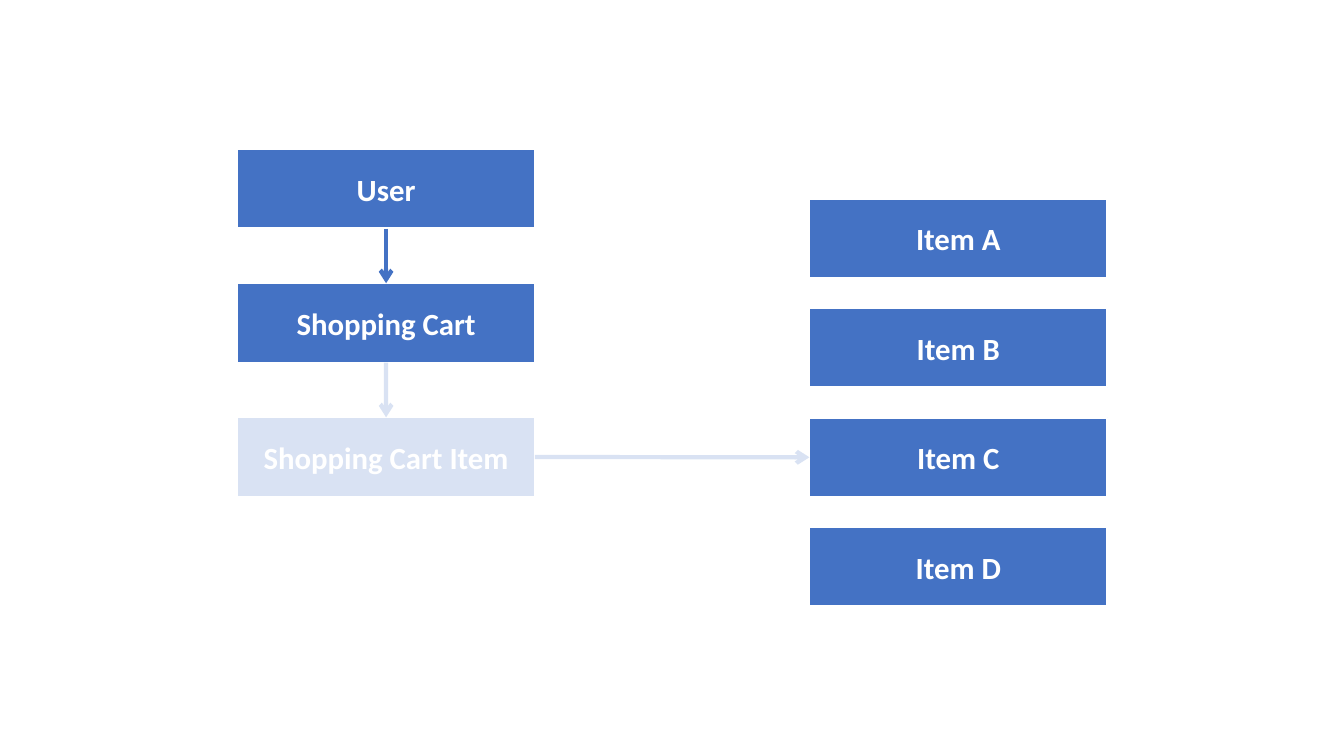
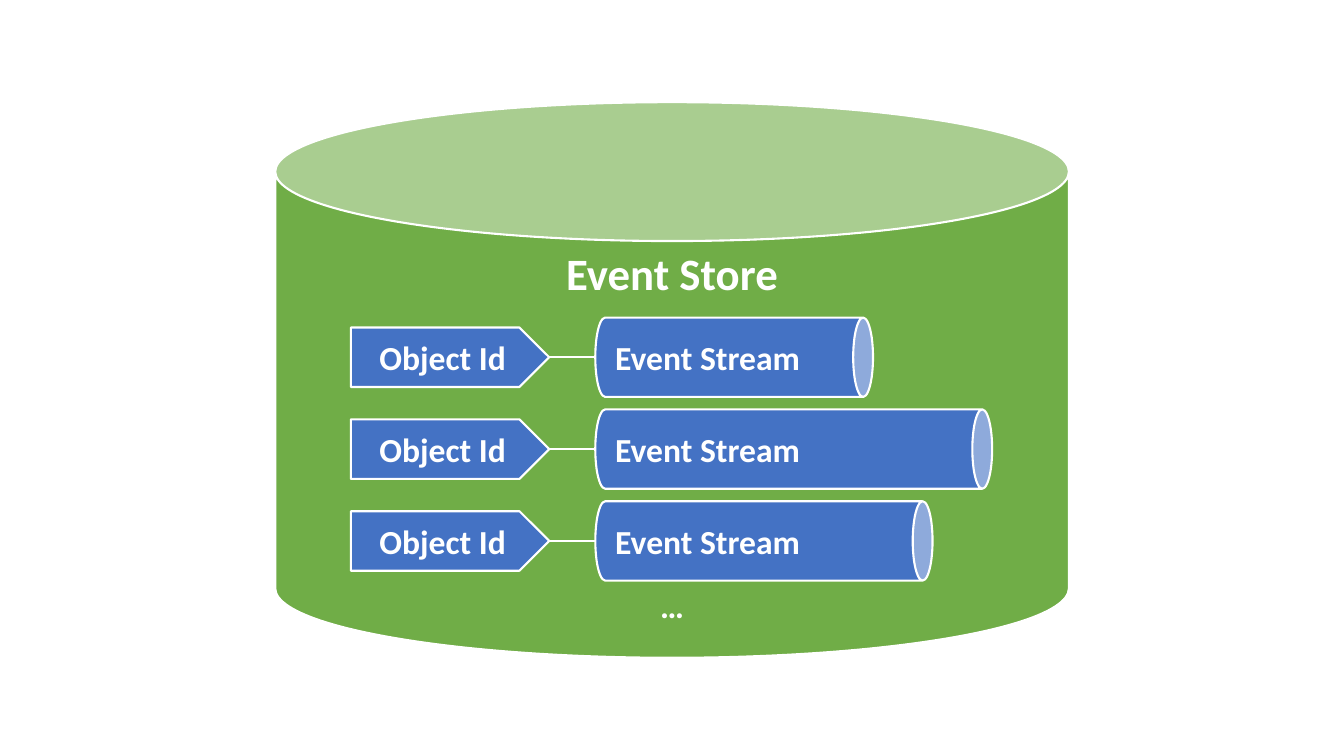
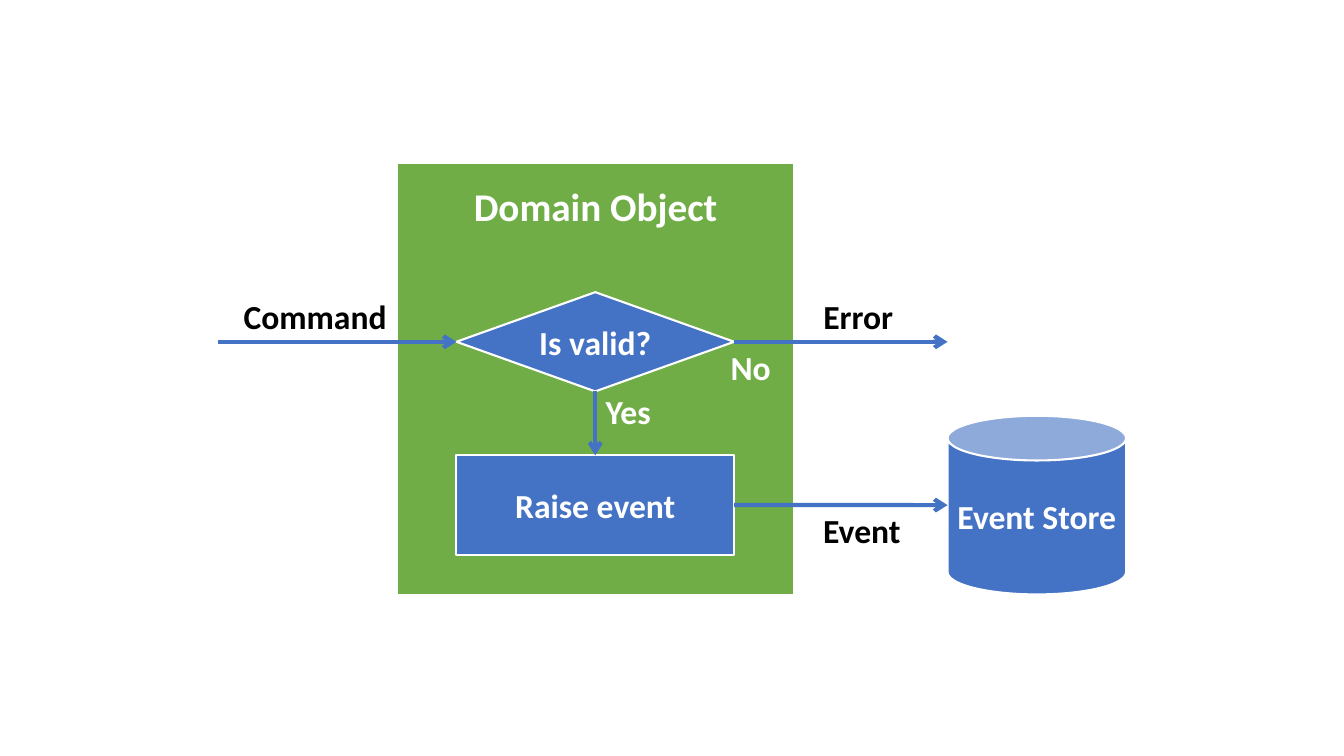
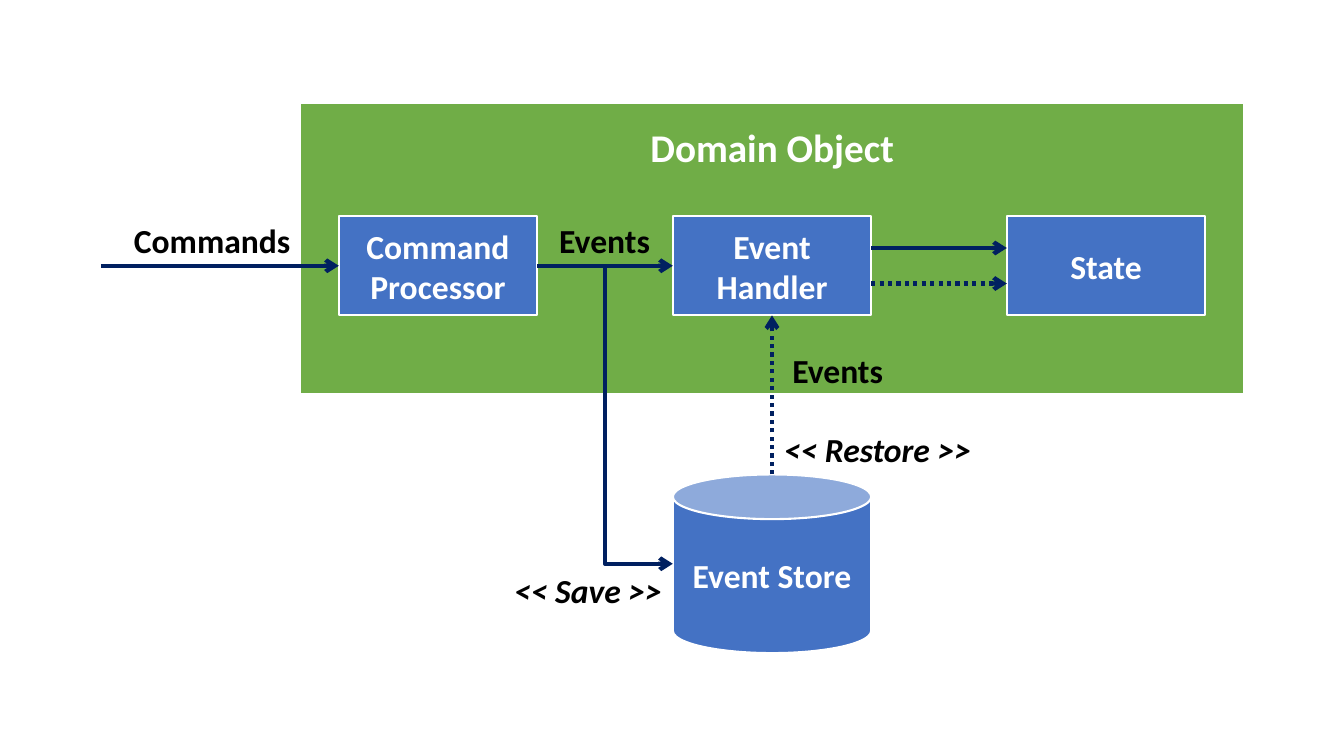
import dataclasses
import typing

import lxml.etree
import pptx
import pptx.dml.color
import pptx.enum.dml
import pptx.enum.shapes
import pptx.enum.text
import pptx.oxml.ns
import pptx.util

Pt = pptx.util.Pt
Shapes = pptx.enum.shapes.MSO_SHAPE
Connectors = pptx.enum.shapes.MSO_CONNECTOR
Anchor = pptx.enum.text.MSO_ANCHOR
Align = pptx.enum.text.PP_ALIGN

COLOURS = {
    "blue": "4472C4",
    "green": "70AD47",
    "navy": "002060",
    "white": "FFFFFF",
    "black": "000000",
}
FONT = {"name": "Calibri", "bold": True}
LABEL_HEIGHT = 36.35
FADED = 20


@dataclasses.dataclass(frozen=True)
class Node:
    text: str
    left: float
    top: float
    width: float
    height: float
    shape: Shapes = Shapes.RECTANGLE
    fill: str = "blue"
    size: float = 24
    anchor: Anchor = Anchor.MIDDLE
    align: Align = Align.CENTER
    inset_top: float = 3.6
    opacity: int = 100


@dataclasses.dataclass(frozen=True)
class Label:
    text: str
    left: float
    top: float
    width: float
    colour: str = "black"
    align: Align = Align.CENTER
    anchor: Anchor = Anchor.BOTTOM
    italic: bool = False
    inset: float = 7.2


class Point(typing.NamedTuple):
    x: int
    y: int
    shape: typing.Any = None
    side: int = 0


@dataclasses.dataclass(frozen=True)
class Link:
    start: Point
    end: Point
    colour: str = "blue"
    width: float = 3
    arrow: bool = True
    dotted: bool = False
    opacity: int = 100
    kind: Connectors = Connectors.STRAIGHT


def rgb(name: str) -> pptx.dml.color.RGBColor:
    return pptx.dml.color.RGBColor.from_string(COLOURS[name])


def set_all(target: typing.Any, values: dict[str, typing.Any]) -> None:
    for name, value in values.items():
        setattr(target, name, value)


def add_child(parent: typing.Any, tag: str, **attributes: str) -> None:
    lxml.etree.SubElement(parent, pptx.oxml.ns.qn(tag), attributes)


def set_opacity(properties: typing.Any, query: str, percent: int) -> None:
    if percent < 100:
        for colour in properties.xpath(query):
            add_child(colour, "a:alpha", val=str(percent * 1000))


def write(box: typing.Any, text: str, align: Align, size: float, colour: str, italic: bool = False) -> None:
    para = box.text_frame.paragraphs[0]
    para.alignment = align
    span = para.add_run()
    span.text = text
    set_all(span.font, {**FONT, "size": Pt(size), "italic": italic})
    span.font.color.rgb = rgb(colour)


def draw_node(page: typing.Any, node: Node) -> typing.Any:
    box = page.shapes.add_shape(node.shape, Pt(node.left), Pt(node.top), Pt(node.width), Pt(node.height))
    box.shadow.inherit = False
    box.fill.solid()
    box.fill.fore_color.rgb = rgb(node.fill)
    set_opacity(box.element.spPr, "a:solidFill/a:srgbClr", node.opacity)
    box.line.color.rgb = rgb("white")
    box.line.width = Pt(1.5)
    set_all(box.text_frame, {
        "word_wrap": True,
        "vertical_anchor": node.anchor,
        "margin_top": Pt(node.inset_top),
    })
    write(box, node.text, node.align, node.size, "white")
    return box


def draw_label(page: typing.Any, label: Label) -> None:
    box = page.shapes.add_textbox(Pt(label.left), Pt(label.top), Pt(label.width), Pt(LABEL_HEIGHT))
    set_all(box.text_frame, {
        "word_wrap": False,
        "auto_size": pptx.enum.text.MSO_AUTO_SIZE.SHAPE_TO_FIT_TEXT,
        "vertical_anchor": label.anchor,
        "margin_left": Pt(label.inset),
        "margin_right": Pt(label.inset),
    })
    write(box, label.text, label.align, 24, label.colour, label.italic)


def point(x: float, y: float) -> Point:
    return Point(Pt(x), Pt(y))


def side(box: typing.Any, index: int, shift: float = 0) -> Point:
    across, down = ((0.5, 0), (0, 0.5), (0.5, 1), (1, 0.5))[index]
    x = box.left + round(box.width * across)
    y = box.top + round(box.height * down) + Pt(shift)
    joined = box.auto_shape_type != Shapes.CAN and not shift
    return Point(x, y, box if joined else None, index)


def draw_link(page: typing.Any, link: Link) -> None:
    line = page.shapes.add_connector(link.kind, link.start.x, link.start.y, link.end.x, link.end.y)
    if link.kind == Connectors.STRAIGHT:
        if link.start.shape is not None:
            line.begin_connect(link.start.shape, link.start.side)
        if link.end.shape is not None:
            line.end_connect(link.end.shape, link.end.side)
    line.line.color.rgb = rgb(link.colour)
    line.line.width = Pt(link.width)
    if link.dotted:
        line.line.dash_style = pptx.enum.dml.MSO_LINE.ROUND_DOT
    properties = line.element.spPr
    set_opacity(properties, "a:ln/a:solidFill/a:srgbClr", link.opacity)
    if link.arrow:
        add_child(properties.xpath("a:ln")[0], "a:tailEnd", type="arrow")
    add_child(properties, "a:effectLst")


def draw_domain(page: typing.Any, left: float, top: float, width: float, height: float) -> None:
    draw_node(page, Node("Domain Object", left, top, width, height, fill="green",
                         size=28, anchor=Anchor.TOP, inset_top=14.4))


def draw_cart(page: typing.Any) -> None:
    width, height = 212.6, 56.7
    user, cart, cart_item = [
        draw_node(page, Node(text, 169.5, 106.6 + row * 95.75, width, height, size=22, opacity=opacity))
        for row, (text, opacity) in enumerate(
            [("User", 100), ("Shopping Cart", 100), ("Shopping Cart Item", FADED)])
    ]
    items = [
        draw_node(page, Node(f"Item {letter}", 578.2, 141.8 + row * 78.25, width, height, size=22))
        for row, letter in enumerate("ABCD")
    ]
    draw_link(page, Link(side(user, 2), side(cart, 0)))
    draw_link(page, Link(side(cart, 2), side(cart_item, 0), opacity=FADED))
    draw_link(page, Link(side(cart_item, 3), side(items[2], 1), opacity=FADED))


def draw_event_store(page: typing.Any) -> None:
    draw_node(page, Node("Event Store", 196.6, 73, 566.9, 396.9, Shapes.CAN, "green", 32, Anchor.TOP))
    draw_label(page, Label("…", 464.2, 414.5, 31.6, "white", anchor=Anchor.TOP))
    stream_left, thickness, plate_height = 425.2, 56.7, 42.5
    for row, length in enumerate((198.4, 283.5, 240.9)):
        middle = 255.2 + row * 65.6
        stream = draw_node(page, Node(
            "Event Stream", stream_left + (length - thickness) / 2, middle - length / 2,
            thickness, length, Shapes.CAN, align=Align.LEFT))
        stream.rotation = 90
        stream.element.txBody.bodyPr.set("vert", "vert270")
        plate = draw_node(page, Node("Object Id", 250.6, middle - plate_height / 2,
                                     141.7, plate_height, Shapes.PENTAGON))
        draw_link(page, Link(side(plate, 3), point(stream_left, middle), "white", 1.5, arrow=False))


def draw_validation(page: typing.Any) -> None:
    draw_domain(page, 283.3, 116.1, 284.2, 308.7)
    check = draw_node(page, Node("Is valid?", 326, 208.7, 198.4, 70.9, Shapes.DIAMOND))
    action = draw_node(page, Node("Raise event", 326, 325.3, 198.4, 70.9))
    store = draw_node(page, Node("Event Store", 676.8, 297, 127.6, 127.6, Shapes.CAN))
    check_middle = 208.7 + 70.9 / 2
    for start, end in (
        (point(156, check_middle), side(check, 1)),
        (side(action, 3), side(store, 1)),
        (side(check, 2), side(action, 0)),
        (side(check, 3), point(676.8, check_middle)),
    ):
        draw_link(page, Link(start, end))
    for label in (
        Label("Command", 165.2, 207.6, 118.1, align=Align.RIGHT),
        Label("Yes", 425.5, 275.7, 47.5, "white", Align.LEFT, Anchor.TOP),
        Label("No", 514.8, 244.2, 43.2, "white", Align.LEFT, Anchor.TOP),
        Label("Event", 580.3, 360.8, 70.6, anchor=Anchor.TOP),
        Label("Error", 581, 207.6, 64.8, align=Align.LEFT),
    ):
        draw_label(page, label)


def draw_processing(page: typing.Any) -> None:
    draw_domain(page, 214.6, 73.5, 673.8, 207.9)
    left, top, width, height, pitch = 242, 154.4, 141.7, 70.9, 238.6
    processor, handler, state = [
        draw_node(page, Node(text, left + column * pitch, top, width, height))
        for column, text in enumerate(("Command Processor", "Event Handler", "State"))
    ]
    store = draw_node(page, Node("Event Store", left + pitch, 338.9, width, 127.6, Shapes.CAN))
    for link in (
        Link(side(processor, 3), side(handler, 1), "navy"),
        Link(side(processor, 3), side(store, 1), "navy", kind=Connectors.ELBOW),
        Link(side(store, 0), side(handler, 2), "navy", dotted=True),
        Link(point(72, top + height / 2), side(processor, 1), "navy"),
        Link(side(handler, 3, -12.7), side(state, 1, -12.7), "navy"),
        Link(side(handler, 3, 12.7), side(state, 1, 12.7), "navy", dotted=True),
    ):
        draw_link(page, link)
    for label in (
        Label("Commands", 87.2, 153.4, 127.4, align=Align.RIGHT),
        Label("Events", 391.9, 152.9, 79.9),
        Label("<< Save >>", 360, 402.8, 120.2, italic=True),
        Label("<< Restore >>", 551.5, 302.4, 150.5, italic=True),
        Label("Events", 551.5, 246.2, 94.3, align=Align.LEFT, anchor=Anchor.MIDDLE, inset=14.4),
    ):
        draw_label(page, label)


def main() -> None:
    deck = pptx.Presentation()
    deck.slide_width, deck.slide_height = Pt(960), Pt(540)
    for draw in (draw_cart, draw_event_store, draw_validation, draw_processing):
        draw(deck.slides.add_slide(deck.slide_layouts[6]))
    deck.save("out.pptx")


if __name__ == "__main__":
    main()
